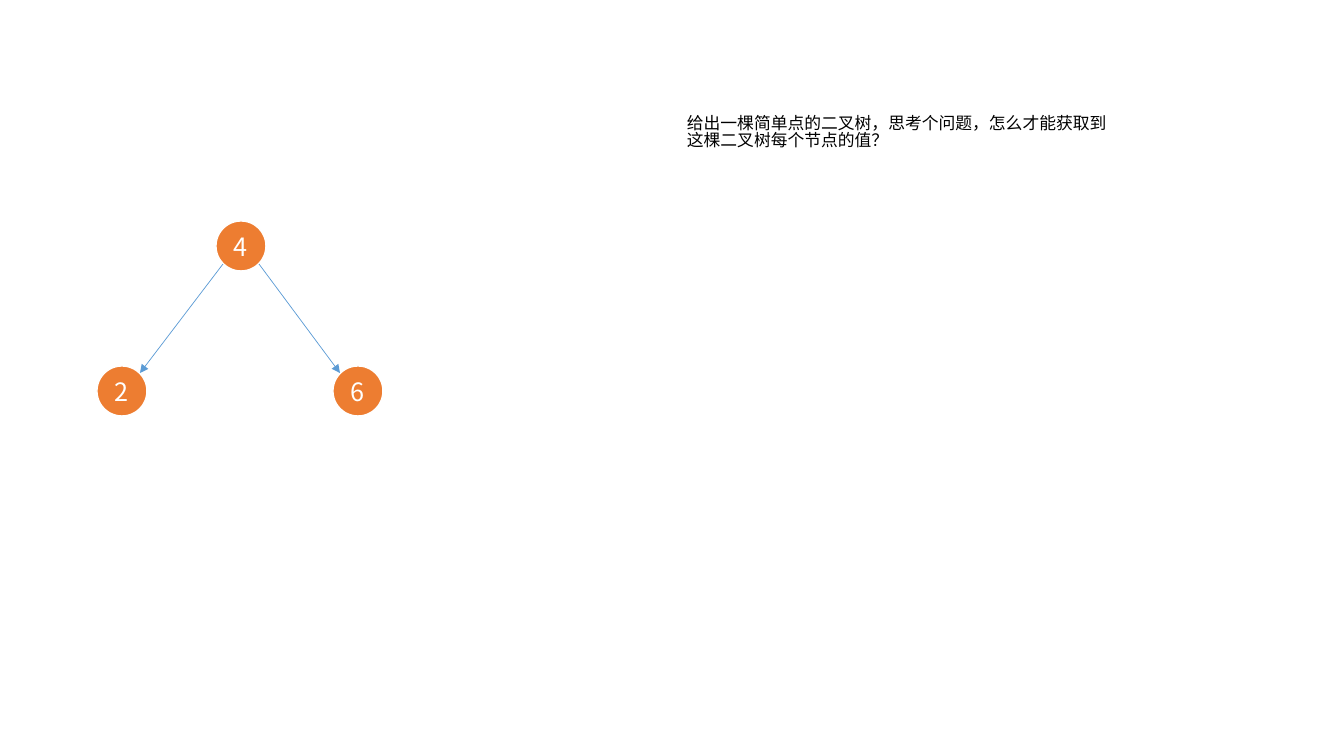
"""Build a slide that asks how to read each node of a small binary tree."""
import pptx
import pptx.util
import pptx.dml.color
import pptx.enum.shapes
import pptx.enum.text
import pptx.oxml
import pptx.oxml.ns

PX = 12192000 / 1344
FONT = "Noto Sans CJK SC"
COLORS = {"node": "ED7D31", "edge": "5B9BD5", "light": "FFFFFF", "dark": "000000"}
SIZE = 50
DIAG = 18


def px(*vals):
    return [round(val * PX) for val in vals]


def write(frame, text, size=12, color="dark", align="LEFT", anchor="TOP", space=None):
    frame.text = text
    frame.vertical_anchor = pptx.enum.text.MSO_ANCHOR[anchor]
    for para in frame.paragraphs:
        para.alignment = pptx.enum.text.PP_ALIGN[align]
        para.line_spacing = space
        for run in para.runs:
            run.font.size = pptx.util.Pt(size)
            run.font.name = FONT
            run.font.color.rgb = rgb[color]
            east = pptx.oxml.parse_xml(
                f'<a:ea {pptx.oxml.ns.nsdecls("a")} typeface="{FONT}"/>')
            run.font._element.find(pptx.oxml.ns.qn("a:latin")).addnext(east)


rgb = {name: pptx.dml.color.RGBColor.from_string(code) for name, code in COLORS.items()}
deck = pptx.Presentation()
deck.slide_width, deck.slide_height = px(1344, 756)
slide = deck.slides.add_slide(deck.slide_layouts[6])
tree = slide.shapes.add_group_shape().shapes

nodes = {"4": (241, 246), "6": (358, 391), "2": (122, 391)}
for label, (x, y) in nodes.items():
    node = tree.add_shape(
        pptx.enum.shapes.MSO_SHAPE.FLOWCHART_CONNECTOR,
        *px(x - SIZE / 2, y - SIZE / 2, SIZE, SIZE))
    node.shadow.inherit = False
    node.fill.solid()
    node.fill.fore_color.rgb = rgb["node"]
    node.line.color.rgb = rgb["light"]
    node.line.width = pptx.util.Pt(1)
    write(node.text_frame, label, size=18, color="light", align="CENTER", anchor="MIDDLE")

root_x, root_y = nodes["4"]
for child, side in (("2", -1), ("6", 1)):
    x, y = nodes[child]
    edge = tree.add_connector(
        pptx.enum.shapes.MSO_CONNECTOR.STRAIGHT,
        *px(root_x + side * DIAG, root_y + DIAG, x - side * DIAG, y - DIAG))
    edge.line.color.rgb = rgb["edge"]
    edge.line.width = pptx.util.Pt(0.5)
    head = pptx.oxml.parse_xml(
        f'<a:tailEnd {pptx.oxml.ns.nsdecls("a")} type="triangle"/>')
    edge.line._get_or_add_ln().append(head)
    flat = pptx.oxml.parse_xml(f'<a:effectLst {pptx.oxml.ns.nsdecls("a")}/>')
    edge._element.spPr.append(flat)

note = slide.shapes.add_textbox(*px(677, 111, 445, 82))
note.text_frame.word_wrap = False
write(note.text_frame,
      "给出一棵简单点的二叉树，思考个问题，怎么才能获取到\n这棵二叉树每个节点的值？",
      space=0.83)

deck.save("out.pptx")
